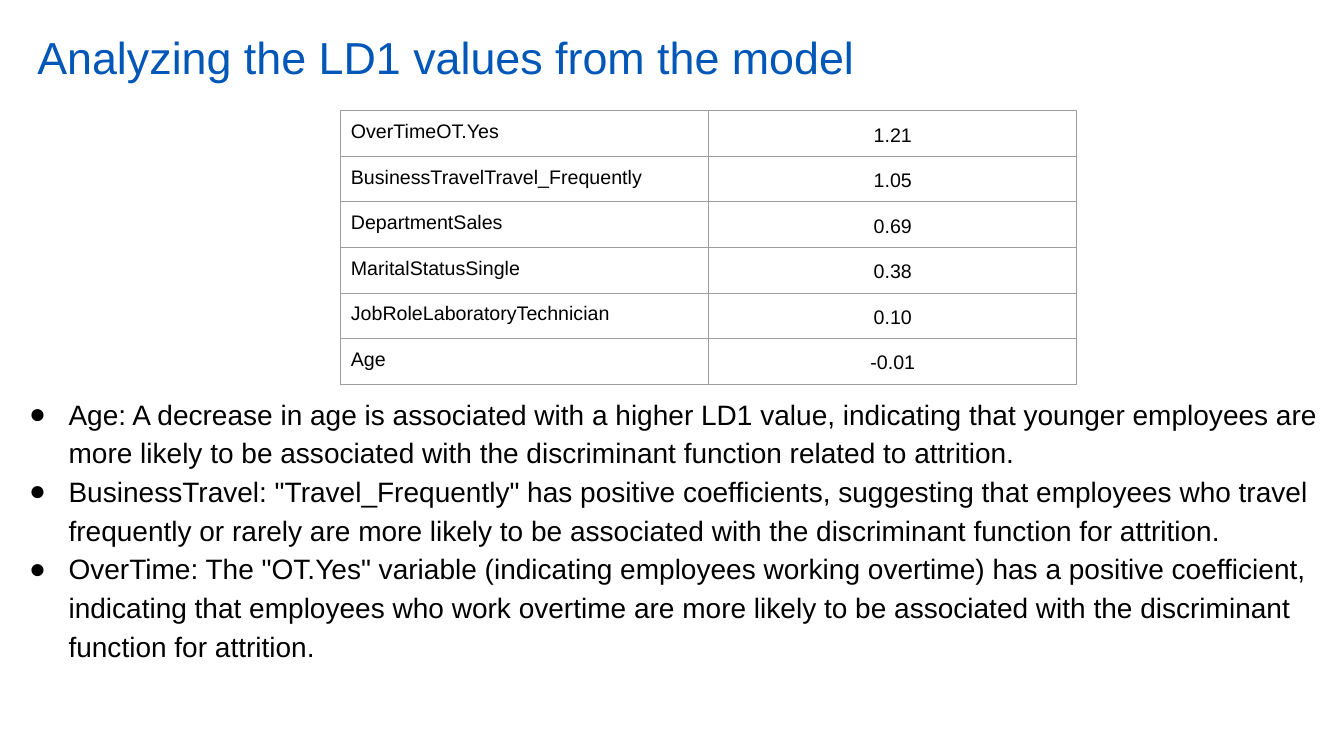
import pptx
import pptx.util
import pptx.dml.color
import pptx.enum.text
import pptx.oxml
import pptx.oxml.ns

THEME = {
    "font": "Arial",
    "title": "0057B7",
    "text": "000000",
    "border": "9E9E9E",
    "title_size": 32,
    "body_size": 20,
    "table_size": 14,
}
ALIGN = pptx.enum.text.PP_ALIGN
Inches = pptx.util.Inches
NAMESPACE = pptx.oxml.ns.nsdecls("a")


def write(paragraph, text, size, color=THEME["text"], align=ALIGN.LEFT, spacing=1.0, bullet=False):
    """Fill a paragraph and format it."""
    paragraph.text = text
    paragraph.alignment = align
    paragraph.line_spacing = spacing
    paragraph.space_before = pptx.util.Pt(0)
    if bullet:
        properties = paragraph._p.get_or_add_pPr()
        properties.set("marL", str(Inches(0.5)))
        properties.set("indent", str(Inches(-0.39)))
        for element in (
            f'<a:buClr {NAMESPACE}><a:srgbClr val="{color}"/></a:buClr>',
            f'<a:buFont {NAMESPACE} typeface="{THEME["font"]}"/>',
            f'<a:buChar {NAMESPACE} char="●"/>',
        ):
            properties.append(pptx.oxml.parse_xml(element))
    paragraph.font.name = THEME["font"]
    paragraph.font.size = pptx.util.Pt(size)
    paragraph.font.color.rgb = pptx.dml.color.RGBColor.from_string(color)


def place(shape, left, top, width, height):
    """Move a placeholder and start its text at the top."""
    shape.left, shape.top = Inches(left), Inches(top)
    shape.width, shape.height = Inches(width), Inches(height)
    shape.text_frame.auto_size = pptx.enum.text.MSO_AUTO_SIZE.NONE
    shape.text_frame.vertical_anchor = pptx.enum.text.MSO_ANCHOR.TOP
    shape.text_frame.word_wrap = True


presentation = pptx.Presentation()
presentation.slide_width, presentation.slide_height = Inches(13.33), Inches(7.5)
slide = presentation.slides.add_slide(presentation.slide_layouts[1])

# Title
title = slide.shapes.title
place(title, 0.27, 0.24, 11.6, 1.09)
write(title.text_frame.paragraphs[0], "Analyzing the LD1 values from the model",
      THEME["title_size"], color=THEME["title"])

# Findings
findings = [
    "Age: A decrease in age is associated with a higher LD1 value, indicating that younger "
    "employees are more likely to be associated with the discriminant function related to attrition.",
    'BusinessTravel: "Travel_Frequently" has positive coefficients, suggesting that employees who '
    "travel frequently or rarely are more likely to be associated with the discriminant function "
    "for attrition.",
    'OverTime: The "OT.Yes" variable (indicating employees working overtime) has a positive '
    "coefficient, indicating that employees who work overtime are more likely to be associated "
    "with the discriminant function for attrition.",
]
body = slide.placeholders[1]
place(body, 0.08, 3.84, 13.17, 3.5)
for index, finding in enumerate(findings):
    frame = body.text_frame
    paragraph = frame.add_paragraph() if index else frame.paragraphs[0]
    write(paragraph, finding, THEME["body_size"], spacing=1.15, bullet=True)

# Coefficient table
coefficients = [
    ("OverTimeOT.Yes", "1.21"),
    ("BusinessTravelTravel_Frequently", "1.05"),
    ("DepartmentSales", "0.69"),
    ("MaritalStatusSingle", "0.38"),
    ("JobRoleLaboratoryTechnician", "0.10"),
    ("Age", "-0.01"),
]
table_frame = slide.shapes.add_table(len(coefficients), 2, Inches(3.38), Inches(1.1),
                                     Inches(7.3), Inches(0.45) * len(coefficients))
table = table_frame.table
table.first_row = table.horz_banding = False
for row, record in enumerate(coefficients):
    for column, text in enumerate(record):
        cell = table.cell(row, column)
        cell.margin_left = cell.margin_right = Inches(0.1)
        cell.margin_top = cell.margin_bottom = Inches(0.1)
        write(cell.text_frame.paragraphs[0], text, THEME["table_size"],
              align=ALIGN.CENTER if column else ALIGN.LEFT, spacing=1.15 if column else 1.0)
        # Cell borders come before the fill
        for side in ("lnL", "lnR", "lnT", "lnB"):
            cell._tc.get_or_add_tcPr().append(pptx.oxml.parse_xml(
                f'<a:{side} {NAMESPACE} w="{pptx.util.Pt(0.75)}"><a:solidFill>'
                f'<a:srgbClr val="{THEME["border"]}"/></a:solidFill></a:{side}>'))
        cell.fill.background()

presentation.save("out.pptx")
